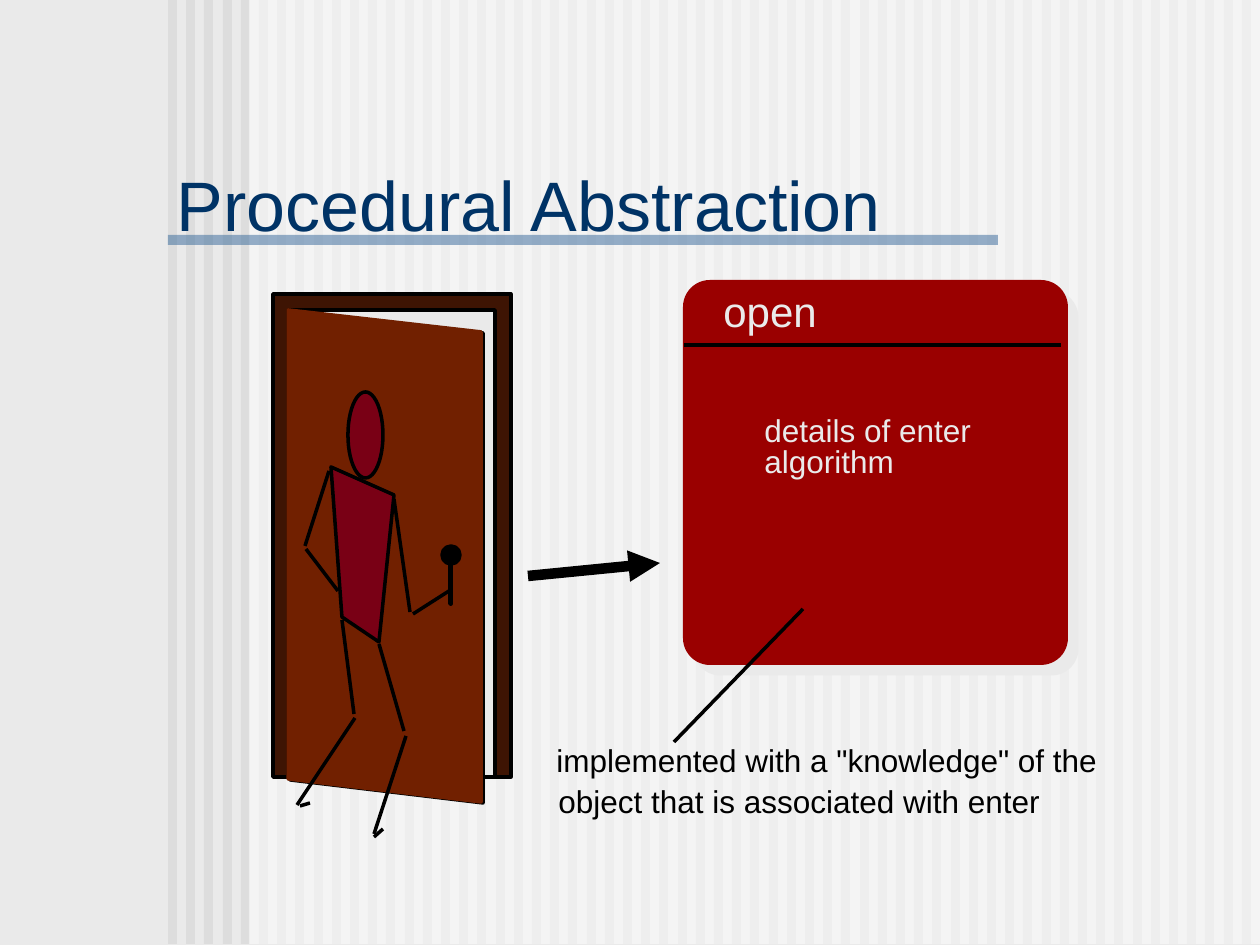
"""Build the Procedural Abstraction slide."""
from dataclasses import dataclass

from lxml.etree import SubElement
from pptx import Presentation
from pptx.dml.color import RGBColor
from pptx.enum.shapes import MSO_CONNECTOR as Connector, MSO_SHAPE as Shape
from pptx.enum.text import MSO_ANCHOR as Anchor, PP_ALIGN as Align
from pptx.oxml.ns import qn
from pptx.util import Pt

SCALE = 914400 / 126


@dataclass(frozen=True)
class Theme:
    font: str = "Arial"
    paper: str = "EAEAEA"
    stripe: str = "DDDDDD"
    veil: str = "FFFFFF"
    underline: str = "336699"
    heading: str = "003366"
    ink: str = "000000"
    frame: str = "3E1403"
    door: str = "712000"
    figure: str = "790015"
    card: str = "9A0000"
    title_size: int = 40
    card_size: int = 24
    text_size: int = 18
    stroke: int = 2
    arrow: int = 6


THEME = Theme()


def px(*lengths):
    return [round(length * SCALE) for length in lengths]


def paint(shape, fill=None, line=None, alpha=None):
    shape.shadow.inherit = False
    if fill:
        shape.fill.solid()
        shape.fill.fore_color.rgb = RGBColor.from_string(fill)
    else:
        shape.fill.background()
    if line:
        shape.line.color.rgb = RGBColor.from_string(line)
        shape.line.width = Pt(THEME.stroke)
    else:
        shape.line.fill.background()
    if alpha:
        color = shape.element.spPr.find(qn("a:solidFill")).find(qn("a:srgbClr"))
        SubElement(color, qn("a:alpha"), val=str(alpha * 1000))
    return shape


def add_preset(slide, kind, box, fill=None, line=None, alpha=None):
    return paint(slide.shapes.add_shape(kind, *px(*box)), fill, line, alpha)


def add_outline(slide, points, fill=None, line=None):
    builder = slide.shapes.build_freeform(*points[0], scale=SCALE)
    builder.add_line_segments(points[1:], close=True)
    return paint(builder.convert_to_shape(), fill, line)


def add_line(slide, ends, width=THEME.stroke, arrow=False):
    stroke = slide.shapes.add_connector(Connector.STRAIGHT, *px(*ends))
    stroke.line.color.rgb = RGBColor.from_string(THEME.ink)
    stroke.line.width = Pt(width)
    if arrow:
        SubElement(stroke.line._get_or_add_ln(), qn("a:tailEnd"), type="triangle")
    SubElement(stroke.element.spPr, qn("a:effectLst"))


def write(frame, text, size, color):
    frame.word_wrap = True
    paragraph = frame.paragraphs[0]
    paragraph.alignment = Align.LEFT
    run = paragraph.add_run()
    run.text = text
    run.font.name = THEME.font
    run.font.size = Pt(size)
    run.font.color.rgb = RGBColor.from_string(color)


def add_label(slide, box, text, size, color):
    label = slide.shapes.add_textbox(*px(*box))
    write(label.text_frame, text, size, color)


def add_backdrop(slide):
    slide.background.fill.solid()
    slide.background.fill.fore_color.rgb = RGBColor.from_string(THEME.paper)
    for index in range(60):
        left = round(168 + 18.2 * index)
        add_preset(slide, Shape.RECTANGLE, (left, 0, 9, 944), THEME.stripe)
    add_preset(slide, Shape.RECTANGLE, (249, 0, 1011, 944), THEME.veil, alpha=50)
    add_preset(slide, Shape.RECTANGLE, (168, 235, 830, 10), THEME.underline, alpha=50)


def add_title(slide, text):
    title = slide.shapes.title
    title.left, title.top, title.width, title.height = px(168, 159, 726, 91)
    frame = title.text_frame
    frame.margin_left = frame.margin_right = px(9)[0]
    frame.margin_top = frame.margin_bottom = px(4)[0]
    frame.vertical_anchor = Anchor.BOTTOM
    write(frame, text, THEME.title_size, THEME.heading)
    title.element.getparent().append(title.element)


def add_door(slide):
    ink = THEME.ink
    add_preset(slide, Shape.RECTANGLE, (273, 294, 238, 483), THEME.frame, ink)
    add_preset(slide, Shape.RECTANGLE, (288, 310, 207, 467), THEME.paper, ink)
    leaf = [(288, 310), (481, 332), (481, 802), (288, 779)]
    add_outline(slide, [(x + 2, y + 1) for x, y in leaf], line=ink)
    add_outline(slide, leaf, THEME.door, THEME.door)
    add_preset(slide, Shape.OVAL, (442, 546, 18, 18), ink, ink)
    add_preset(slide, Shape.RECTANGLE, (450, 562, 1, 42), ink, ink)


def add_person(slide):
    add_preset(slide, Shape.OVAL, (348, 392, 35, 86), THEME.figure, THEME.ink)
    torso = [(331, 467), (394, 495), (379, 642), (342, 617)]
    add_outline(slide, torso, THEME.figure, THEME.ink)
    limbs = [
        (394, 499, 410, 612), (413, 614, 449, 591),
        (329, 471, 305, 546), (306, 549, 338, 591),
        (379, 644, 404, 731), (406, 736, 374, 834), (374, 837, 383, 829),
        (342, 620, 354, 714), (355, 718, 297, 805), (300, 806, 310, 803),
    ]
    for limb in limbs:
        add_line(slide, limb)


def add_card(slide):
    card = add_preset(slide, Shape.ROUNDED_RECTANGLE, (683, 280, 385, 385), THEME.card)
    card.adjustments[0] = 0.07
    effects = card.element.spPr.find(qn("a:effectLst"))
    shadow = SubElement(effects, qn("a:outerShdw"), dist=str(Pt(8.5)),
                        dir="2700000", algn="ctr", rotWithShape="0")
    SubElement(shadow, qn("a:srgbClr"), val=THEME.paper)
    add_line(slide, (684, 345, 1061, 345))
    add_label(slide, (711, 279, 140, 63), "open", THEME.card_size, THEME.paper)
    for top, text in ((405, "details of enter"), (436, "algorithm")):
        add_label(slide, (752, top, 260, 50), text, THEME.text_size, THEME.paper)


def add_caption(slide):
    add_line(slide, (803, 609, 674, 742))
    lines = ((544, 735, 'implemented with a "knowledge" of the'),
             (546, 776, "object that is associated with enter"))
    for left, top, text in lines:
        add_label(slide, (left, top, 600, 50), text, THEME.text_size, THEME.ink)


def main():
    deck = Presentation()
    deck.slide_width, deck.slide_height = px(1260, 945)
    slide = deck.slides.add_slide(deck.slide_layouts[5])
    add_backdrop(slide)
    add_title(slide, "Procedural Abstraction")
    add_line(slide, (528, 576, 660, 563), THEME.arrow, arrow=True)
    add_door(slide)
    add_person(slide)
    add_card(slide)
    add_caption(slide)
    deck.save("out.pptx")


main()
